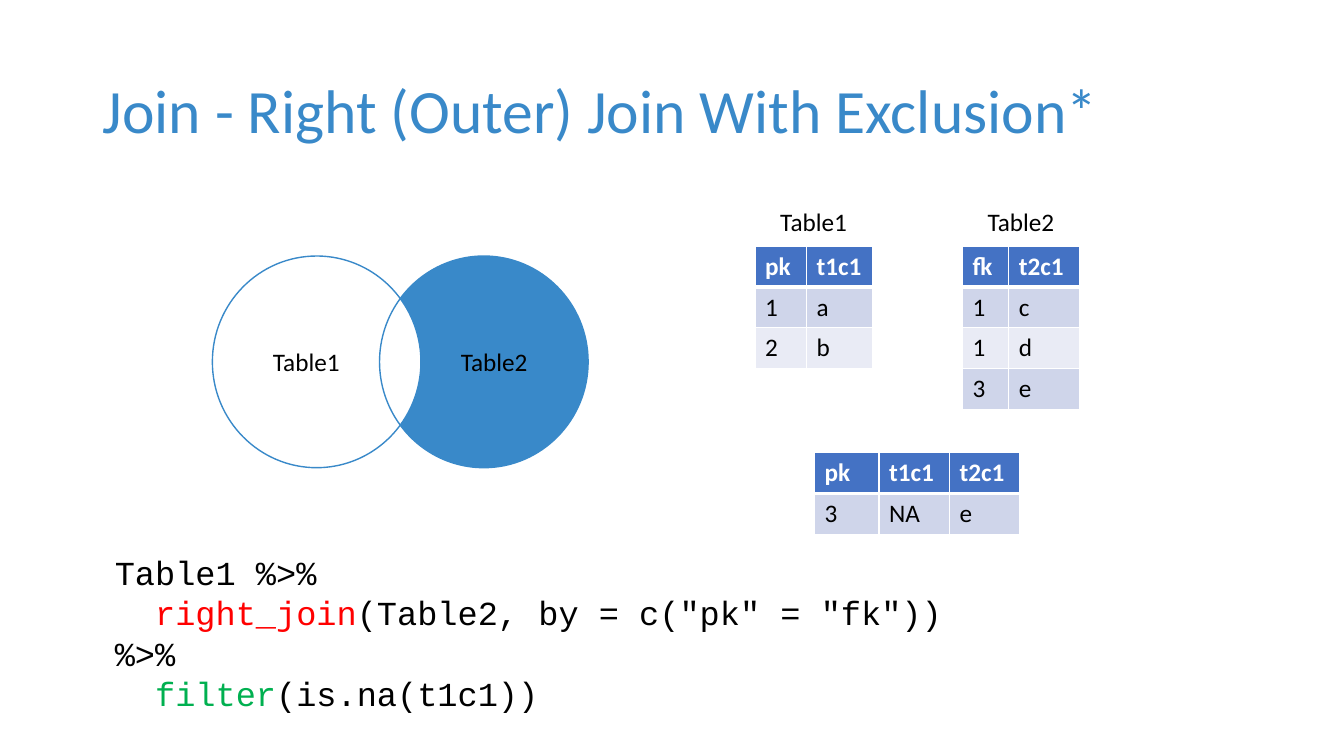
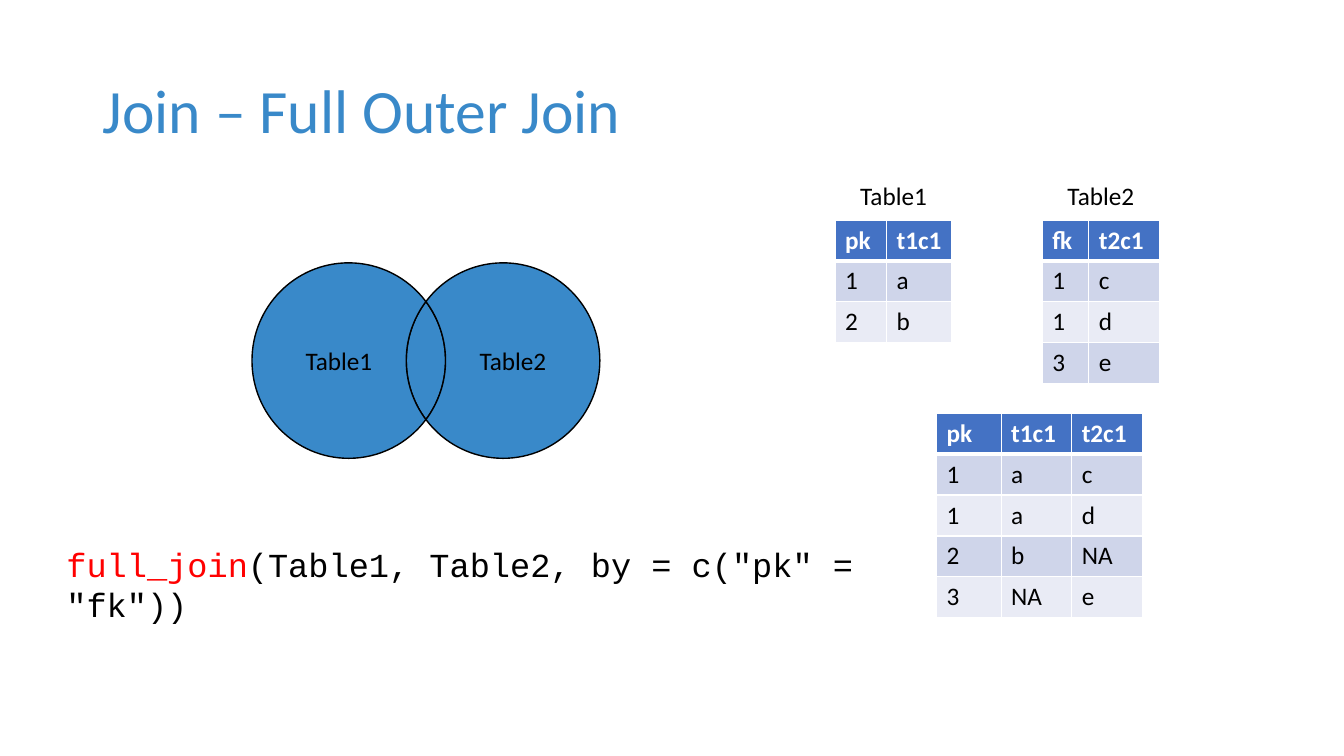
from math import acos, cos, pi, sin, tan

from lxml.etree import SubElement
from pptx import Presentation
from pptx.dml.color import RGBColor
from pptx.enum.text import MSO_ANCHOR as Anchor, PP_ALIGN as Align
from pptx.oxml.ns import qn
from pptx.util import Inches, Pt

# Shared look
rgb = RGBColor.from_string
BLUE, BLACK, WHITE, RED, GREEN = "3989C9", "000000", "FFFFFF", "FF0000", "00B050"
HEADER, BANDS = "4472C4", ("CFD5EA", "E9EBF5")
BODY_FONT, CODE_FONT = "Calibri", "Courier New"

presentation = Presentation()
presentation.slide_width, presentation.slide_height = Inches(13.33), Inches(7.5)

# Grid: a hundred columns by a hundred rows
COLUMN = presentation.slide_width / 100
ROW = presentation.slide_height / 100
TABLE_ROW = 5.41
TABLE_GAP = 15.43
LABEL_RISE = 5.87

# Table contents and column widths
TABLE1 = ([3.83, 4.88], ["pk t1c1", "1 a", "2 b"])
TABLE2 = ([3.45, 5.25], ["fk t2c1", "1 c", "1 d", "3 e"])
RESULT_WIDTHS, RESULT_HEADER = [4.8, 5.25, 5.25], "pk t1c1 t2c1"

# Code lines are (indented, runs); circles are (left x, right x, y, columns and rows of radius)
slides = [
    dict(
        title="Join - Right (Outer) Join With Exclusion*",
        circles=(23.56, 36, 47.87, 7.76, 14),
        fills=dict(left=None, right=BLUE),
        outline=BLUE,
        tables_at=(56.18, 32.55),
        result_at=(60.6, 59.87),
        result=["3 NA e"],
        code_at=(7.8, 72.35, 64.2, 17.47),
        code=[
            (False, [("Table1 %>%", BLACK)]),
            (True, [("right_join", RED),
                    ('(Table2, by = c("pk" = "fk")) %>%', BLACK)]),
            (True, [("filter", GREEN), ("(is.na(t1c1))", BLACK)]),
        ],
    ),
    dict(
        title="Join – Full Outer Join",
        circles=(25.95, 37.43, 47.7, 7.2, 12.93),
        fills=dict(overlap=BLUE, left=BLUE, right=BLUE),
        outline=BLACK,
        tables_at=(62.13, 29.1),
        result_at=(69.69, 54.67),
        result=["1 a c", "1 a d", "2 b NA", "3 NA e"],
        code_at=(4.2, 71.3, 65.63, 6.67),
        code=[
            (False, [("full_join", RED),
                     ('(Table1, Table2, by = c("pk" = "fk"))', BLACK)]),
        ],
    ),
]


def set_font(paragraph, size, color=None, name=BODY_FONT, bold=False):
    font = paragraph.font
    font.size, font.name, font.bold = Pt(size), name, bold
    if color:
        font.color.rgb = rgb(color)


def arc(center, y, radius_x, radius_y, *angles):
    """Start point, then two control points and an end point per curve."""
    unit = [(cos(angles[0]), sin(angles[0]))]
    for start, end in zip(angles, angles[1:]):
        pull = 4 / 3 * tan((end - start) / 4)
        unit += [(cos(start) - pull * sin(start), sin(start) + pull * cos(start)),
                 (cos(end) + pull * sin(end), sin(end) - pull * cos(end)),
                 (cos(end), sin(end))]
    return [(round((center + radius_x * dx) * COLUMN), round((y + radius_y * dy) * ROW))
            for dx, dy in unit]


for content in slides:
    slide = presentation.slides.add_slide(presentation.slide_layouts[6])
    shapes = slide.shapes
    table_x, table_y = content["tables_at"]

    # Title and table labels: text, box, size, colour, alignment, anchor
    texts = [(content["title"], (6.9, 5.33, 86.25, 19.33), 44, BLUE, Align.LEFT, Anchor.MIDDLE)]
    for number, (widths, _) in enumerate((TABLE1, TABLE2)):
        box = (table_x + number * TABLE_GAP, table_y - LABEL_RISE, sum(widths), 5.33)
        texts.append((f"Table{number + 1}", box, 18, BLACK, Align.CENTER, Anchor.TOP))
    for text, (x, y, width, height), size, color, alignment, anchor in texts:
        box = shapes.add_textbox(x * COLUMN, y * ROW, width * COLUMN, height * ROW)
        frame = box.text_frame
        frame.word_wrap, frame.vertical_anchor = True, anchor
        paragraph = frame.paragraphs[0]
        paragraph.text, paragraph.alignment = text, alignment
        paragraph.line_spacing = 0.9 if size == 44 else 1.0
        set_font(paragraph, size, color)

    # Venn diagram: each region is bounded by one arc of each circle
    left_x, right_x, center_y, *radii = content["circles"]
    left, right = (left_x, center_y, *radii), (right_x, center_y, *radii)
    theta = acos((right_x - left_x) / 2 / radii[0])
    left_inner = arc(*left, theta, 0, -theta)
    right_inner = arc(*right, pi + theta, pi, pi - theta)
    left_outer = arc(*left, theta, pi / 2, pi, 3 * pi / 2, 2 * pi - theta)
    right_outer = arc(*right, pi + theta, 3 * pi / 2, 2 * pi, 5 * pi / 2, 3 * pi - theta)
    regions = {
        "overlap": ("", left_inner + right_inner[1:]),
        "left": ("Table1", left_outer + right_inner[1:]),
        "right": ("Table2", right_outer + left_inner[1:]),
    }
    venn = shapes.add_group_shape()
    for region, fill in content["fills"].items():
        label, points = regions[region]
        builder = venn.shapes.build_freeform(*points[0])
        builder.add_line_segments(points[1:], close=True)
        shape = builder.convert_to_shape()
        # Turn each three segments into one curve
        segments = list(shape._element.iter(qn("a:lnTo")))
        for first in range(0, len(segments), 3):
            curve = segments[first].makeelement(qn("a:cubicBezTo"))
            segments[first].addprevious(curve)
            for segment in segments[first:first + 3]:
                curve.append(segment[0])
                segment.getparent().remove(segment)
        shape.shadow.inherit = False
        if fill:
            shape.fill.solid()
            shape.fill.fore_color.rgb = rgb(fill)
        else:
            shape.fill.background()
        shape.line.color.rgb, shape.line.width = rgb(content["outline"]), Pt(1)
        if label:
            shape.text_frame.vertical_anchor = Anchor.MIDDLE
            paragraph = shape.text_frame.paragraphs[0]
            paragraph.text, paragraph.alignment = label, Align.CENTER
            set_font(paragraph, 18, BLACK)

    # Source tables and the joined result
    tables = [
        ((table_x, table_y), *TABLE1),
        ((table_x + TABLE_GAP, table_y), *TABLE2),
        (content["result_at"], RESULT_WIDTHS, [RESULT_HEADER] + content["result"]),
    ]
    for (x, y), widths, lines in tables:
        table = shapes.add_table(
            len(lines), len(widths), round(x * COLUMN), round(y * ROW),
            round(sum(widths) * COLUMN), round(len(lines) * TABLE_ROW * ROW)).table
        for column, width in zip(table.columns, widths):
            column.width = round(width * COLUMN)
        for row_index, line in enumerate(lines):
            is_header = row_index == 0
            table.rows[row_index].height = round(TABLE_ROW * ROW)
            for column_index, value in enumerate(line.split()):
                cell = table.cell(row_index, column_index)
                cell.text = value
                set_font(cell.text_frame.paragraphs[0], 18,
                         WHITE if is_header else BLACK, bold=is_header)
                # White borders, thick under the header
                properties = cell._tc.get_or_add_tcPr()
                for side in ("lnL", "lnR", "lnT", "lnB"):
                    thick = (row_index, side) in ((0, "lnB"), (1, "lnT"))
                    border = SubElement(properties, qn(f"a:{side}"), w=str(Pt(3 if thick else 1)))
                    SubElement(SubElement(border, qn("a:solidFill")), qn("a:srgbClr"), val=WHITE)
                cell.fill.solid()
                cell.fill.fore_color.rgb = rgb(HEADER if is_header else BANDS[(row_index - 1) % 2])

    # Code
    x, y, width, height = content["code_at"]
    frame = shapes.add_textbox(x * COLUMN, y * ROW, width * COLUMN, height * ROW).text_frame
    frame.word_wrap = True
    for index, (indented, runs) in enumerate(content["code"]):
        paragraph = frame.add_paragraph() if index else frame.paragraphs[0]
        set_font(paragraph, 24, name=CODE_FONT)
        if indented:
            paragraph._p.get_or_add_pPr().set("indent", str(round(3 * COLUMN)))
        for text, color in runs:
            run = paragraph.add_run()
            run.text = text
            run.font.color.rgb = rgb(color)

presentation.save("out.pptx")
